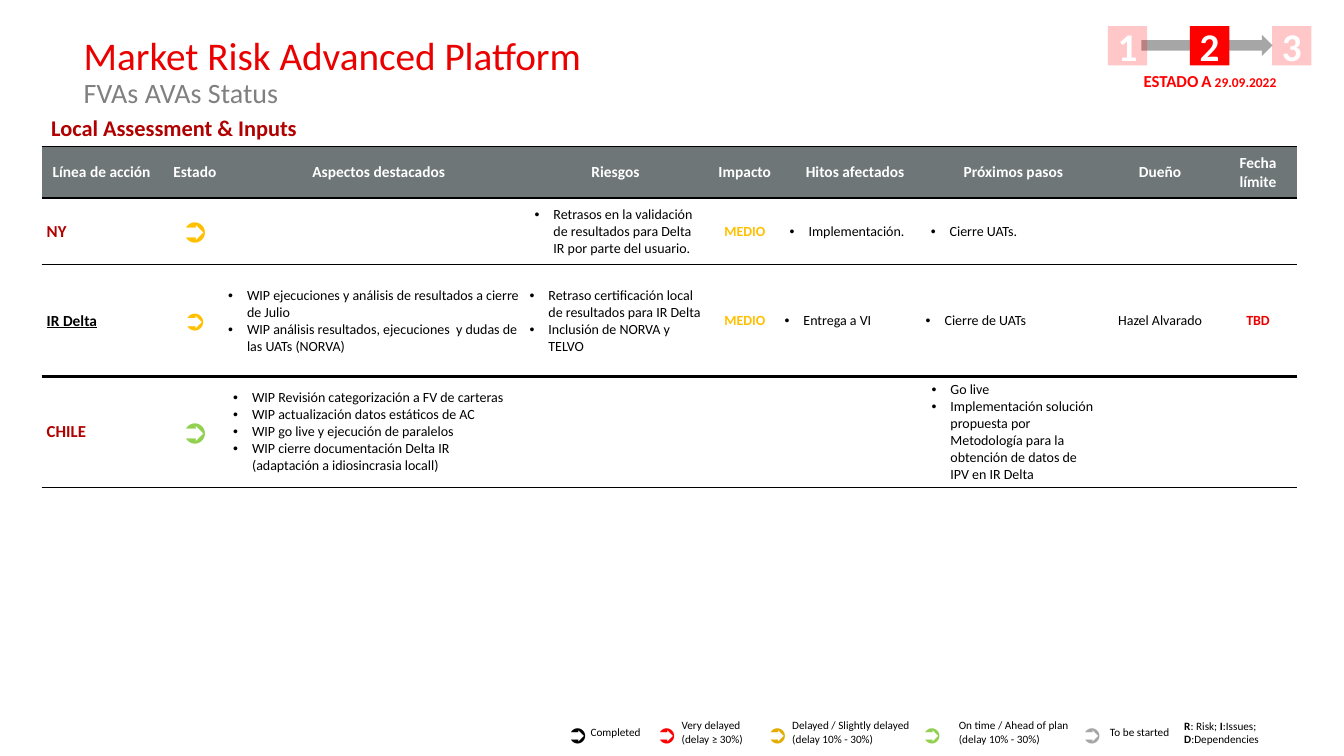
from lxml import etree
from pptx import Presentation
from pptx.dml.color import RGBColor
from pptx.enum.shapes import MSO_SHAPE
from pptx.enum.text import MSO_ANCHOR, MSO_AUTO_SIZE, PP_ALIGN
from pptx.oxml.ns import qn
from pptx.util import Pt

LEFT, CENTER = PP_ALIGN.LEFT, PP_ALIGN.CENTER
TOP, MIDDLE = MSO_ANCHOR.TOP, MSO_ANCHOR.MIDDLE
FONT = "Calibri"
MARK = "➲"
NO_GRID_STYLE = "{2D5ABB26-0587-4C30-8999-92F81FD0307C}"
COLORS = {"black": "000000", "white": "FFFFFF", "red": "FF0000", "title": "EB0000",
          "dark red": "B00000", "subtitle": "808080", "header": "6E7678",
          "amber": "FFC000", "dark amber": "E5AB00", "green": "92D050", "gray": "A6A6A6"}

# Cell styles: size, colour, bold, alignment, bulleted
STYLES = {
    "header": (11, "white", True, CENTER, False),
    "country": (12, "dark red", True, LEFT, False),
    "metric": (11, "black", True, LEFT, False),
    "delayed": (24, "amber", False, CENTER, False),
    "delayed small": (20, "amber", False, CENTER, False),
    "on time": (24, "green", False, CENTER, False),
    "bullets": (10, "black", False, LEFT, True),
    "impact": (10, "amber", True, CENTER, False),
    "owner": (10, "black", False, CENTER, False),
    "deadline": (10, "title", True, CENTER, False),
}

HEADERS = ["Línea de acción", "Estado", "Aspectos destacados", "Riesgos\u00a0", "Impacto",
           "Hitos afectados", "Próximos pasos", "Dueño", "Fecha límite"]
ACTION, STATUS, HIGHLIGHTS, RISKS, IMPACT, MILESTONES, NEXT, OWNER, DEADLINE = range(9)
NY = {
    ACTION: ("country", ["NY"]),
    STATUS: ("delayed", [MARK]),
    RISKS: ("bullets", ["Retrasos en la validación de resultados para Delta IR "
                        "por parte del usuario."]),
    IMPACT: ("impact", ["MEDIO"]),
    MILESTONES: ("bullets", ["Implementación."]),
    NEXT: ("bullets", ["Cierre UATs."]),
}
IR_DELTA = {
    ACTION: ("metric", ["IR Delta"]),
    STATUS: ("delayed small", [MARK]),
    HIGHLIGHTS: ("bullets", [
        "WIP\u00a0ejecuciones y análisis de resultados a cierre de Julio",
        "WIP análisis resultados, ejecuciones\u00a0 y dudas de las UATs (NORVA)"]),
    RISKS: ("bullets", ["Retraso certificación local de resultados para IR Delta\u00a0",
                        "Inclusión de NORVA y TELVO"]),
    IMPACT: ("impact", ["MEDIO"]),
    MILESTONES: ("bullets", ["Entrega a VI"]),
    NEXT: ("bullets", ["Cierre de UATs"]),
    OWNER: ("owner", ["Hazel Alvarado"]),
    DEADLINE: ("deadline", ["TBD"]),
}
CHILE = {
    ACTION: ("country", ["CHILE"]),
    STATUS: ("on time", [MARK]),
    HIGHLIGHTS: ("bullets", [
        "WIP Revisión categorización a FV de carteras",
        "WIP actualización datos estáticos de AC",
        "WIP go live y ejecución de paralelos",
        "WIP cierre documentación Delta IR (adaptación a idiosincrasia locall)"]),
    NEXT: ("bullets", ["Go live", "Implementación solución propuesta por Metodología para la "
                                  "obtención de datos de IPV en IR Delta"]),
}
HEADER_ROW = {col: ("header", [name]) for col, name in enumerate(HEADERS)}

# Tables: top, column widths, then (height, inset, cells) for each row
TABLES = [
    (104.8, [85.7, 47.5, 215.3, 125.3, 56.9, 100.8, 125.3, 84.2, 55.8],
     [(36.7, 3.6, HEADER_ROW), (47.5, 3.6, NY), (80.4, 0, IR_DELTA)]),
    (268.4, [85.7, 47.5, 206.6, 134.6, 56.9, 100.8, 125.3, 72, 67.4],
     [(79.2, 3.6, CHILE)]),
]
TABLE_LEFT = 29.8
LABEL_INSET = 3.6

# Legend: mark left, mark colour, text left, text width, lines
LEGEND = [
    (398, "black", 419, 55.4, ["Completed"]),
    (461.5, "red", 484, 59, ["Very delayed ", "(delay ≥ 30%)"]),
    (540.7, "dark amber", 563, 94.3, ["Delayed / Slightly delayed", "(delay 10% - 30%)"]),
    (651, "green", 682, 94.3, ["On time / Ahead of plan", "(delay 10% - 30%)"]),
    (765.4, "gray", 790, 55.4, ["To be started"]),
]
KEYS = [("R", ": Risk; "), ("I", ":Issues; "), ("D", ":Dependencies")]
STEPS = [("1", 22), ("2", 100), ("3", 22)]


def rgb(name):
    """Return the named colour."""
    return RGBColor.from_string(COLORS[name])


def write(tf, lines, size, color, bold=False, align=LEFT):
    """Fill a text frame with equally formatted paragraphs."""
    tf.text = "\n".join(lines)
    for p in tf.paragraphs:
        p.alignment = align
        p.font.name, p.font.size, p.font.bold = FONT, Pt(size), bold
        p.font.color.rgb = rgb(color)


def frame(tf, anchor=TOP, side=7.2, edge=3.6):
    """Set wrapping, anchor and insets of a text frame."""
    tf.word_wrap, tf.auto_size, tf.vertical_anchor = True, MSO_AUTO_SIZE.NONE, anchor
    tf.margin_left = tf.margin_right = Pt(side)
    tf.margin_top = tf.margin_bottom = Pt(edge)


def add_text(slide, box, lines, size, color, bold=False, align=LEFT, anchor=TOP, side=7.2):
    """Add a text box and return its text frame."""
    tf = slide.shapes.add_textbox(*map(Pt, box)).text_frame
    frame(tf, anchor, side)
    write(tf, lines, size, color, bold, align)
    return tf


def add_block(slide, kind, box, color):
    """Add a plain filled shape without line or shadow."""
    sp = slide.shapes.add_shape(kind, *map(Pt, box))
    sp.shadow.inherit = False
    sp.fill.solid()
    sp.fill.fore_color.rgb = rgb(color)
    sp.line.fill.background()
    return sp


def add_bullet(p):
    """Give a paragraph a hanging bullet."""
    pPr = p._p.get_or_add_pPr()
    pPr.set("marL", str(Pt(13.5)))
    pPr.set("indent", str(-Pt(13.5)))
    for bullet in (etree.Element(qn("a:buFont"), typeface="Arial"),
                   etree.Element(qn("a:buChar"), char="•")):
        pPr.insert_element_before(bullet, "a:tabLst", "a:defRPr", "a:extLst")


def add_borders(cell):
    """Draw black lines above and below a cell."""
    tcPr = cell._tc.get_or_add_tcPr()
    for i, side in enumerate(("a:lnT", "a:lnB")):
        ln = etree.Element(qn(side), w=str(Pt(1)))
        fill = etree.SubElement(ln, qn("a:solidFill"))
        etree.SubElement(fill, qn("a:srgbClr"), val=COLORS["black"])
        tcPr.insert(i, ln)


def fill_cell(cell, inset, style, lines):
    """Write one table cell in a named style."""
    size, color, bold, align, bulleted = STYLES[style]
    cell.vertical_anchor = MIDDLE
    cell.margin_left = cell.margin_right = cell.margin_top = cell.margin_bottom = Pt(inset)
    write(cell.text_frame, lines, size, color, bold, align)
    for p in cell.text_frame.paragraphs:
        p.font.underline = style == "metric"
        if bulleted:
            add_bullet(p)


def add_status_table(slide, top, widths, rows):
    """Add a table of action lines."""
    height = sum(row[0] for row in rows)
    table = slide.shapes.add_table(len(rows), len(widths), Pt(TABLE_LEFT), Pt(top),
                                   Pt(sum(widths)), Pt(height)).table
    table.first_row = table.horz_banding = False
    table._tbl.tblPr.find(qn("a:tableStyleId")).text = NO_GRID_STYLE
    for column, width in zip(table.columns, widths):
        column.width = Pt(width)
    for r, (height, inset, cells) in enumerate(rows):
        table.rows[r].height = Pt(height)
        for c in range(len(widths)):
            cell = table.cell(r, c)
            cell_inset = LABEL_INSET if c == ACTION else inset
            fill_cell(cell, cell_inset, *cells.get(c, ("owner", [""])))
            if cells is HEADER_ROW:
                cell.fill.solid()
                cell.fill.fore_color.rgb = rgb("header")
            else:
                cell.fill.background()
            add_borders(cell)


prs = Presentation()
prs.slide_width, prs.slide_height = Pt(960), Pt(540)
slide = prs.slides.add_slide(prs.slide_layouts[5])

title = slide.shapes.title
title.left, title.top, title.width, title.height = map(Pt, (52.6, 22.7, 842.4, 31))
frame(title.text_frame)
write(title.text_frame, ["Market Risk Advanced Platform", "FVAs AVAs Status"], 28, "title")
for p in title.text_frame.paragraphs:
    p.line_spacing = 0.9
p.font.size, p.font.color.rgb = Pt(20), rgb("subtitle")

add_text(slide, (29.5, 78.2, 480, 26.6), ["Local Assessment & Inputs"], 16, "dark red", True)
for top, widths, rows in TABLES:
    add_status_table(slide, top, widths, rows)

arrow = add_block(slide, MSO_SHAPE.DOWN_ARROW, (854.6, -14.4, 15.1, 93.6), "gray")
arrow.rotation = 270
for i, (number, opacity) in enumerate(STEPS):
    sp = add_block(slide, MSO_SHAPE.RECTANGLE, (791.3 + 58.7 * i, 18.7, 28.1, 28.1), "red")
    if opacity < 100:
        clr = sp._element.spPr.find(qn("a:solidFill"))[0]
        etree.SubElement(clr, qn("a:alpha"), val=str(opacity * 1000))
    frame(sp.text_frame, MIDDLE, 2.9, 2.9)
    write(sp.text_frame, [number], 28, "white", True, CENTER)
tf = add_text(slide, (796.3, 40.6, 136, 33.8), ["ESTADO A 29.09.2022"], 12, "red", True,
              CENTER, MIDDLE, 2.9)
tf.paragraphs[0].runs[0].font._element.set("cap", "small")

for mark_left, color, left, width, lines in LEGEND:
    add_text(slide, (mark_left, 509.8, 25.2, 28.8), [MARK], 18, color, align=CENTER)
    add_text(slide, (left, 515, width, 15.8), lines, 8, "black", anchor=MIDDLE, side=2.9)
tf = add_text(slide, (843, 515.5, 63.4, 15.8), [""], 8, "black", anchor=MIDDLE, side=2.9)
for letter, meaning in KEYS:
    for text, bold in ((letter, True), (meaning, False)):
        r = tf.paragraphs[0].add_run()
        r.text, r.font.bold = text, bold

prs.save("out.pptx")
